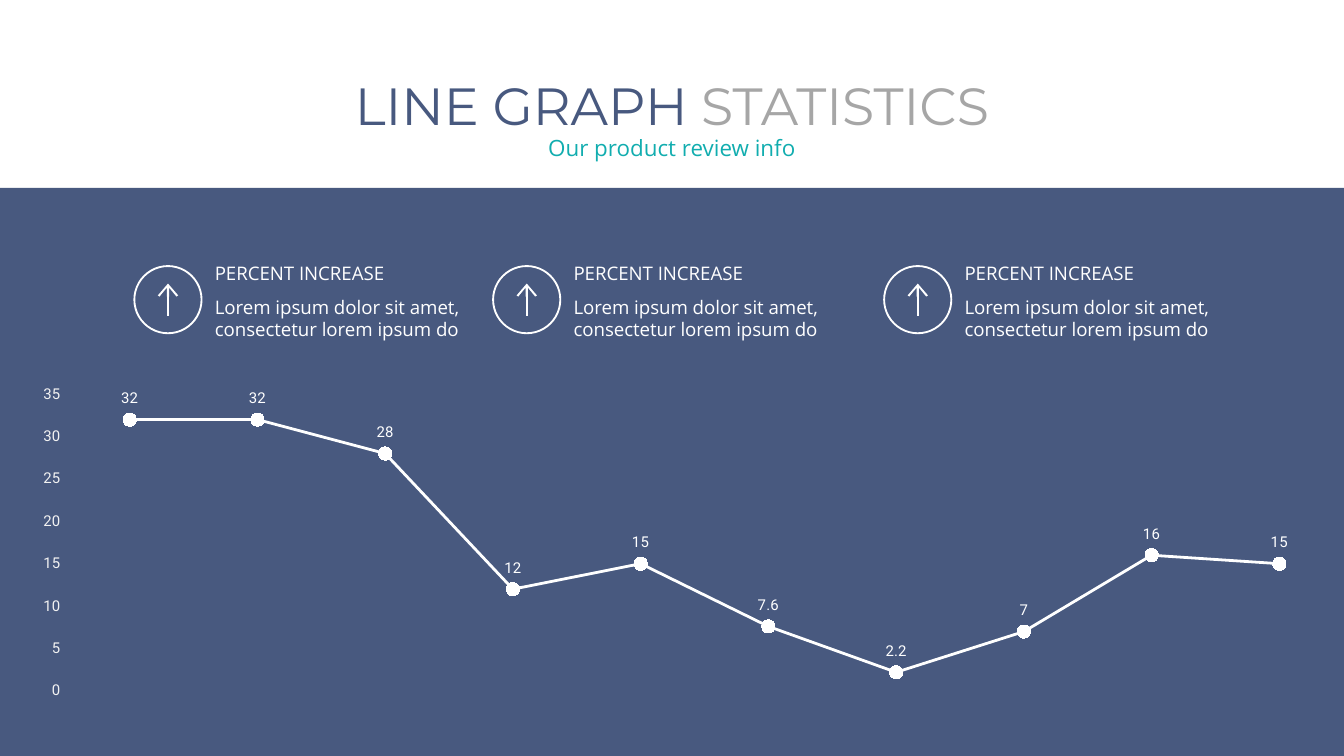
from dataclasses import dataclass

from lxml.etree import SubElement
from pptx import Presentation
from pptx.chart.data import CategoryChartData
from pptx.dml.color import RGBColor
from pptx.enum.chart import XL_CHART_TYPE as ChartType
from pptx.enum.chart import XL_LABEL_POSITION as LabelPos
from pptx.enum.chart import XL_MARKER_STYLE as Marker
from pptx.enum.chart import XL_TICK_MARK as Tick
from pptx.enum.shapes import MSO_CONNECTOR as Connector
from pptx.enum.shapes import MSO_SHAPE as Shape
from pptx.enum.text import MSO_ANCHOR as Anchor
from pptx.enum.text import PP_ALIGN as Align
from pptx.oxml.ns import qn
from pptx.slide import Slide
from pptx.util import Cm, Pt

COLORS = {
    "white": "FFFFFF",
    "navy": "48597F",
    "gray": "A6A6A6",
    "teal": "11ADAF",
    "axis": "F2F2F2",
    "marker": "52658D",
    "chart_text": "17252F",
}
VALUES = (32, 32, 28, 12, 15, 7.6, 2.2, 7, 16, 15)
PLOT = {"x": 0.049, "y": 0.168, "w": 0.951, "h": 0.697}
ICON_TOP = 5.03
ICON_SIZE = 1.27


@dataclass
class Run:
    text: str
    color: str


@dataclass
class Feature:
    left: float
    heading: str = "PERCENT INCREASE"
    body: str = "Lorem ipsum dolor sit amet, consectetur lorem ipsum do"


FEATURES = [Feature(2.54), Feature(9.32), Feature(16.71)]


def rgb(name: str) -> RGBColor:
    return RGBColor.from_string(COLORS[name])


def set_font(font, name: str, size: float, color: str) -> None:
    font.name = name
    font.size = Pt(size)
    font.color.rgb = rgb(color)


def add_text(s: Slide, box: tuple, runs: list[Run], size: float,
             name: str = "Open Sans", align=Align.LEFT, anchor=Anchor.TOP) -> None:
    tf = s.shapes.add_textbox(*map(Cm, box)).text_frame
    tf.word_wrap = True
    tf.vertical_anchor = anchor
    p = tf.paragraphs[0]
    p.alignment = align
    for run in runs:
        r = p.add_run()
        r.text = run.text
        set_font(r.font, name, size, run.color)


def add_arrow(s: Slide, x: float, bottom: float, top: float) -> None:
    line = s.shapes.add_connector(Connector.STRAIGHT, Cm(x), Cm(bottom), Cm(x), Cm(top))
    line.line.color.rgb = rgb("white")
    line.line.width = Pt(1.25)
    ln = line.line._get_or_add_ln()
    SubElement(ln, qn("a:tailEnd"), type="arrow", w="lg", len="med")
    SubElement(line._element.spPr, qn("a:effectLst"))


def add_feature(s: Slide, feature: Feature) -> None:
    text_left = feature.left + ICON_SIZE
    add_text(s, (text_left, 4.83, 4.45, 0.84), [Run(feature.heading, "white")], 10)
    ring = s.shapes.add_shape(Shape.OVAL, Cm(feature.left), Cm(ICON_TOP),
                              Cm(ICON_SIZE), Cm(ICON_SIZE))
    ring.shadow.inherit = False
    ring.fill.background()
    ring.line.color.rgb = rgb("white")
    ring.line.width = Pt(1)
    add_arrow(s, feature.left + ICON_SIZE / 2, 5.97, 5.36)
    add_text(s, (text_left, 5.46, 5.51, 1.47), [Run(feature.body, "white")], 10)


def set_plot_layout(chart) -> None:
    area = chart._chartSpace.chart.plotArea
    layout = area.find(qn("c:layout"))
    if layout is None:
        layout = SubElement(area, qn("c:layout"))
        area.insert(0, layout)
    manual = SubElement(layout, qn("c:manualLayout"))
    SubElement(manual, qn("c:layoutTarget"), val="inner")
    for key in ("x", "y"):
        SubElement(manual, qn(f"c:{key}Mode"), val="edge")
    for key, value in PLOT.items():
        SubElement(manual, qn(f"c:{key}"), val=str(value))


def add_line_chart(s: Slide) -> None:
    data = CategoryChartData()
    data.categories = [str(i) for i in range(1, len(VALUES) + 1)]
    data.add_series("Series 1", VALUES)
    chart = s.shapes.add_chart(ChartType.LINE_MARKERS, Cm(0), Cm(6.1),
                               Cm(25.4), Cm(8.05), data).chart
    chart.has_legend = False
    chart.has_title = False
    set_font(chart.font, "Calibri", 11, "chart_text")
    set_plot_layout(chart)
    chart.category_axis.visible = False

    axis = chart.value_axis
    axis.minimum_scale, axis.maximum_scale, axis.major_unit = 0, 35, 5
    axis.major_tick_mark = axis.minor_tick_mark = Tick.NONE
    axis.format.line.fill.background()
    axis.major_gridlines.format.line.color.rgb = rgb("navy")
    axis.major_gridlines.format.line.width = Pt(0.75)
    set_font(axis.tick_labels.font, "Roboto", 8, "axis")

    plot = chart.plots[0]
    plot.vary_by_categories = False
    series = plot.series[0]
    series.smooth = False
    series.format.line.color.rgb = rgb("white")
    series.format.line.width = Pt(1.5)
    series.marker.style = Marker.CIRCLE
    series.marker.size = 7
    series.marker.format.fill.solid()
    series.marker.format.fill.fore_color.rgb = rgb("marker")
    series.marker.format.line.color.rgb = rgb("white")
    labels = series.data_labels
    labels.show_value = True
    labels.position = LabelPos.ABOVE
    set_font(labels.font, "Roboto", 8, "white")


def main() -> None:
    prs = Presentation()
    prs.slide_width, prs.slide_height = Cm(25.4), Cm(14.29)
    s = prs.slides.add_slide(prs.slide_layouts[6])

    panel = s.shapes.add_shape(Shape.RECTANGLE, Cm(-0.02), Cm(3.55), Cm(25.43), Cm(10.74))
    panel.shadow.inherit = False
    panel.fill.solid()
    panel.fill.fore_color.rgb = rgb("navy")
    panel.line.fill.background()

    add_line_chart(s)
    add_text(s, (1.27, 0.79, 22.86, 2.39),
             [Run("LINE GRAPH ", "navy"), Run("STATISTICS", "gray")],
             28, "Montserrat", Align.CENTER, Anchor.MIDDLE)
    add_text(s, (8.57, 2.41, 8.26, 0.91), [Run("Our product review info", "teal")],
             12, align=Align.CENTER)
    for feature in FEATURES:
        add_feature(s, feature)
    prs.save("out.pptx")


if __name__ == "__main__":
    main()
